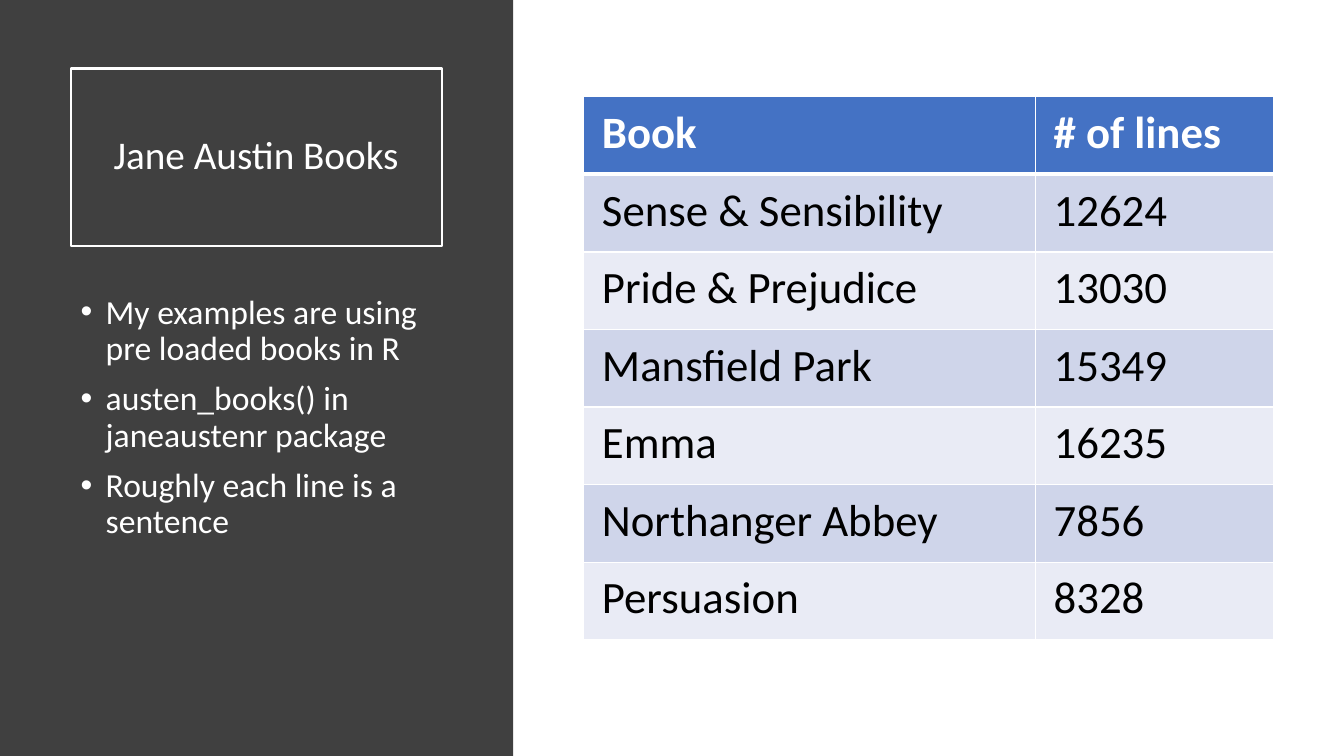
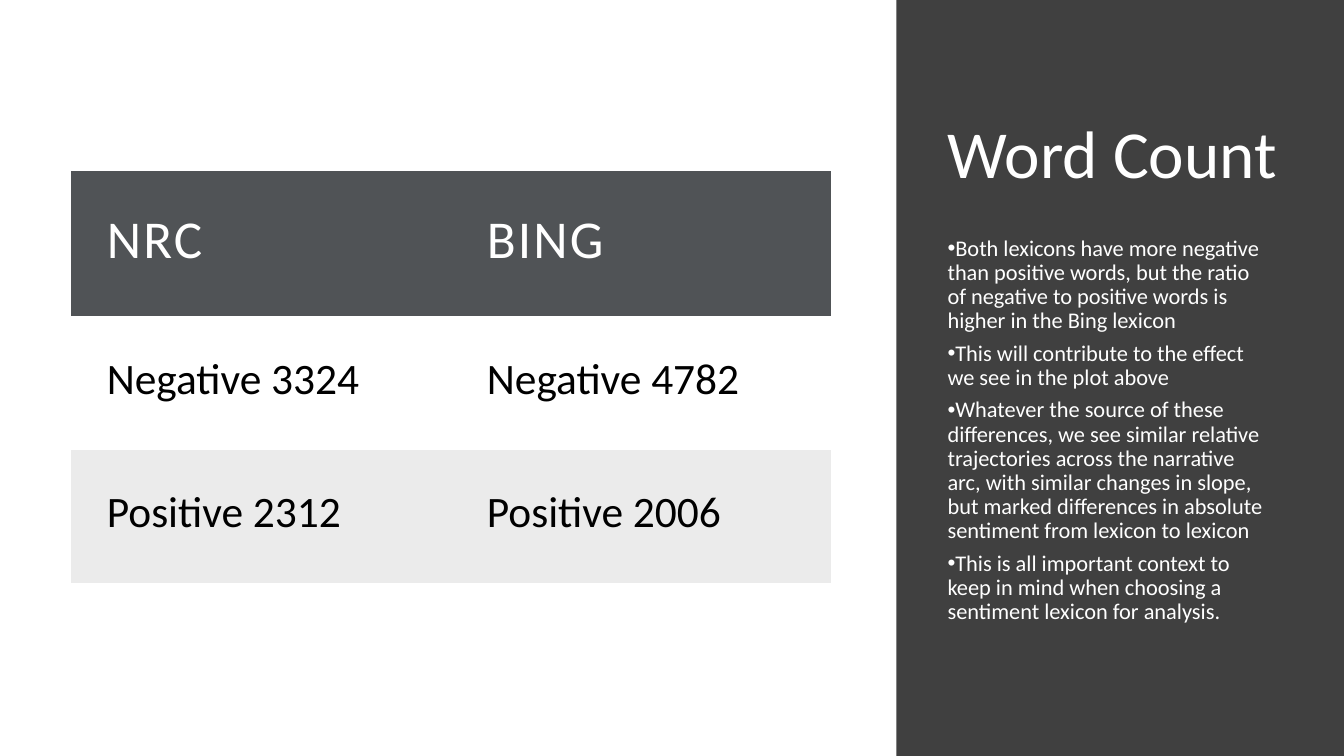
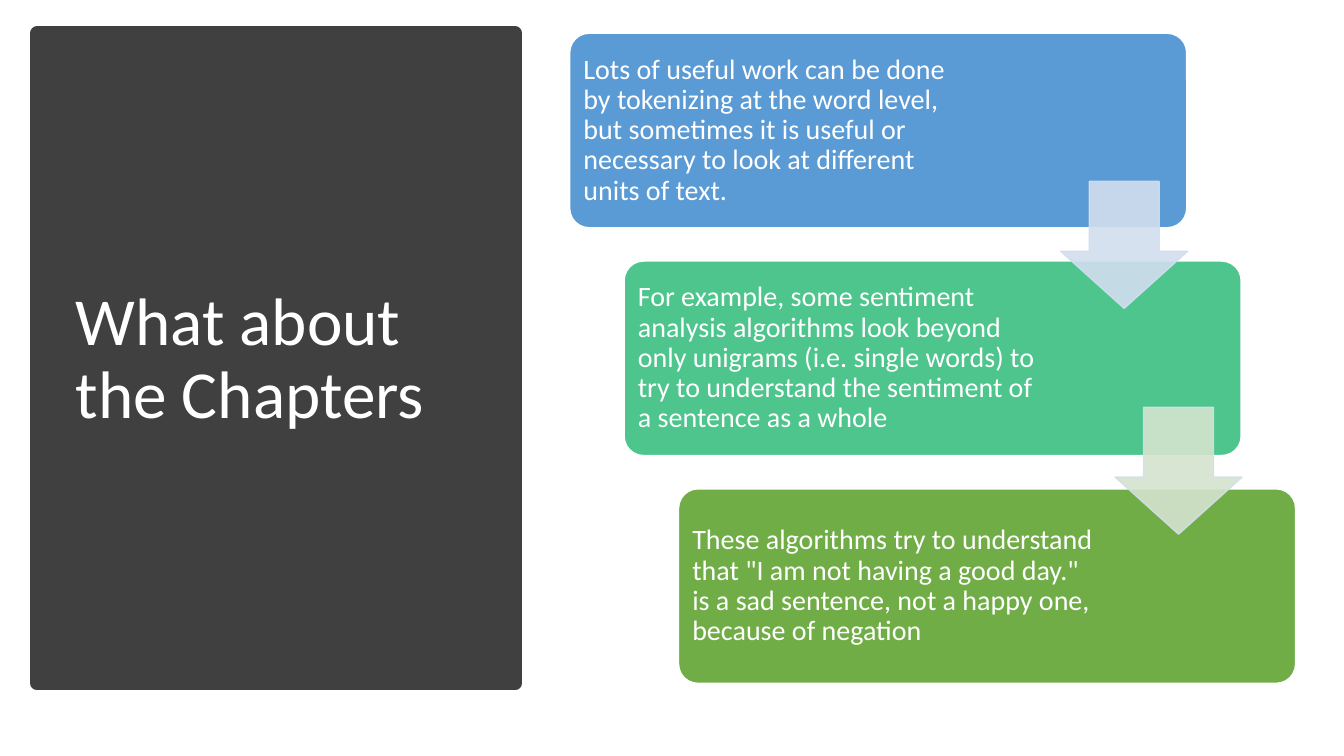
from lxml.etree import SubElement
from pptx import Presentation
from pptx.dml.color import RGBColor
from pptx.enum.shapes import MSO_SHAPE
from pptx.enum.text import MSO_ANCHOR, MSO_AUTO_SIZE, PP_ALIGN
from pptx.oxml import parse_xml
from pptx.oxml.ns import nsdecls, qn
from pptx.util import Inches, Pt

FONT = "Calibri"
WHITE, BLACK, DARK = "FFFFFF", "000000", "404040"
BLUE, BAND_DARK, BAND_LIGHT = "4472C4", "CFD5EA", "E9EBF5"
SLATE, PALE = "505356", "EBEBEB"
ARROW_LINE = "D2DEEF"
PLAIN_TABLE = "{2D5ABB26-0587-4C30-8999-92F81FD0307C}"

BOOKS = [
    ("Book", "# of lines"),
    ("Sense & Sensibility", "12624"),
    ("Pride & Prejudice", "13030"),
    ("Mansfield Park", "15349"),
    ("Emma", "16235"),
    ("Northanger Abbey", "7856"),
    ("Persuasion", "8328"),
]
BOOK_NOTES = [
    "My examples are using pre loaded books in R",
    "austen_books() in janeaustenr package",
    "Roughly each line is a sentence",
]
LEXICONS = [
    ("NRC", "BING"),
    ("Negative 3324", "Negative 4782"),
    ("Positive 2312", "Positive 2006"),
]
LEXICON_NOTES = [
    "Both lexicons have more negative than positive words, but the ratio of negative to positive words is higher in the Bing lexicon",
    "This will contribute to the effect we see in the plot above",
    "Whatever the source of these differences, we see similar relative trajectories across the narrative arc, with similar changes in slope, but marked differences in absolute sentiment from lexicon to lexicon",
    "This is all important context to keep in mind when choosing a sentiment lexicon for analysis.",
]
STEPS = [
    ("Lots of useful work can be done by tokenizing at the word level, but sometimes it is useful or necessary to look at different units of text.", "5B9BD5", 3.88),
    ("For example, some sentiment analysis algorithms look beyond only unigrams (i.e. single words) to try to understand the sentiment of a sentence as a whole", "4DC58D", 4.05),
    ("These algorithms try to understand that \"I am not having a good day.\" is a sad sentence, not a happy one, because of negation", "70AD47", 4.05),
]
ARROW_FILLS = ["D2DEEF", "D5E3CF"]


def rgb(value):
    return RGBColor.from_string(value)


def assign(target, values):
    for name, value in values.items():
        setattr(target, name, value)


def write(p, text, size, color=WHITE, **fmt):
    r = p.add_run()
    r.text = text
    assign(r.font, {"name": FONT, "size": Pt(size), **fmt})
    r.font.color.rgb = rgb(color)
    return r


def outline(shape, color, width):
    shape.line.color.rgb = rgb(color)
    shape.line.width = Pt(width)


def add_block(s, kind, box, fill, line=None, width=1):
    shape = s.shapes.add_shape(kind, *map(Inches, box))
    shape.shadow.inherit = False
    shape.fill.solid()
    shape.fill.fore_color.rgb = rgb(fill)
    if line:
        outline(shape, line, width)
    else:
        shape.line.fill.background()
    return shape


def fade(shape, percent):
    for color in shape.element.spPr.iter(qn("a:srgbClr")):
        SubElement(color, qn("a:alpha"), val=str(percent * 1000))


def add_titled_slide(prs, text, box, panel, size=48, align=PP_ALIGN.LEFT,
                     anchor=MSO_ANCHOR.MIDDLE, panel_line=None):
    s = prs.slides.add_slide(prs.slide_layouts[5])
    title = s.shapes.title
    assign(title, dict(zip(("left", "top", "width", "height"), map(Inches, box))))
    tf = title.text_frame
    assign(tf, {"word_wrap": True, "auto_size": MSO_AUTO_SIZE.NONE,
                "vertical_anchor": anchor})
    p = tf.paragraphs[0]
    assign(p, {"alignment": align, "line_spacing": 0.9})
    write(p, text, size)
    block = add_block(s, MSO_SHAPE.RECTANGLE, panel, DARK, panel_line, 10)
    title.element.addprevious(block.element)
    return s


def add_bullets(s, box, items, size, indent, before=0, after=0):
    tf = s.shapes.add_textbox(*map(Inches, box)).text_frame
    tf.word_wrap = True
    for i, item in enumerate(items):
        p = tf.add_paragraph() if i else tf.paragraphs[0]
        assign(p, {"line_spacing": 0.9, "space_before": Pt(before),
                   "space_after": Pt(after)})
        pPr = p._p.get_or_add_pPr()
        pPr.set("marL", str(Inches(indent)))
        pPr.set("indent", str(Inches(-0.25)))
        SubElement(pPr, qn("a:buFont"), typeface="Arial")
        SubElement(pPr, qn("a:buChar"), char="•")
        write(p, item, size)


def add_borders(cell, widths):
    tcPr = cell._tc.get_or_add_tcPr()
    for i, (side, width) in enumerate(widths.items()):
        tcPr.insert(i, parse_xml(
            f'<a:ln{side} {nsdecls("a")} w="{Pt(width)}"><a:solidFill>'
            f'<a:srgbClr val="{WHITE}"/></a:solidFill></a:ln{side}>'))


def add_grid(s, left, top, widths, heights, rows, fills, margins, head, body, ruled=False):
    table = s.shapes.add_table(
        len(rows), len(widths), Inches(left), Inches(top),
        Inches(sum(widths)), Inches(sum(heights))).table
    table._tbl.tblPr.find(qn("a:tableStyleId")).text = PLAIN_TABLE
    table.horz_banding = False
    for column, width in zip(table.columns, widths):
        column.width = Inches(width)
    for i, (values, height) in enumerate(zip(rows, heights)):
        table.rows[i].height = Inches(height)
        fill = fills[0] if i == 0 else fills[1 + (i - 1) % 2]
        for cell, value in zip(table.rows[i].cells, values):
            across, down = map(Inches, margins)
            assign(cell, {"margin_left": across, "margin_right": across,
                          "margin_top": down, "margin_bottom": down})
            if fill:
                cell.fill.solid()
                cell.fill.fore_color.rgb = rgb(fill)
            else:
                cell.fill.background()
            if ruled:
                add_borders(cell, {"L": 1, "R": 1, "T": 3 if i == 1 else 1,
                                   "B": 3 if i == 0 else 1})
            write(cell.text_frame.paragraphs[0], value, **(body if i else head))
    return table


def add_step(s, left, top, text, fill, text_width):
    width, inset = 6.12, 0.08
    card = add_block(s, MSO_SHAPE.ROUNDED_RECTANGLE, (left, top, width, 1.93), fill, WHITE)
    card.adjustments[0] = 0.1
    tf = card.text_frame
    assign(tf, {"word_wrap": True, "vertical_anchor": MSO_ANCHOR.MIDDLE,
                "margin_left": Inches(inset), "margin_top": Inches(inset),
                "margin_bottom": Inches(inset),
                "margin_right": Inches(width - text_width - inset - 0.12)})
    p = tf.paragraphs[0]
    assign(p, {"alignment": PP_ALIGN.LEFT, "line_spacing": 0.9})
    write(p, text, 20)


def add_step_arrow(s, left, top, fill):
    arrow = add_block(s, MSO_SHAPE.DOWN_ARROW, (left, top, 1.26, 1.26), fill, ARROW_LINE)
    arrow.adjustments[0], arrow.adjustments[1] = 0.55, 0.45
    fade(arrow, 90)


def build_books(prs):
    s = add_titled_slide(prs, "Jane Austin Books", (0.7, 0.68, 3.68, 1.76),
                         (0, 0, 5.09, 7.5), size=28, align=PP_ALIGN.CENTER)
    outline(s.shapes.title, WHITE, 1.5)
    add_bullets(s, (0.7, 2.88, 3.68, 3.74), BOOK_NOTES, 24, 0.25, before=10)
    add_grid(s, 5.79, 0.96, [4.48, 2.36], [0.77] * len(BOOKS), BOOKS,
             (BLUE, BAND_DARK, BAND_LIGHT), (0.18, 0.09),
             {"size": 32, "bold": True}, {"size": 32, "color": BLACK}, ruled=True)


def build_word_count(prs):
    s = add_titled_slide(prs, "Word Count", (9.3, 0.78, 3.85, 1.19),
                         (8.89, 0, 4.44, 7.5), anchor=MSO_ANCHOR.BOTTOM)
    add_bullets(s, (9.3, 2.3, 3.33, 4.22), LEXICON_NOTES, 16, 0, after=6)
    table = add_grid(s, 0.7, 1.7, [3.77] * 2, [1.44, 1.32, 1.32], LEXICONS,
                     (SLATE, None, PALE), (0.36, 0.36),
                     {"size": 38}, {"size": 31, "color": BLACK})
    for cell in table.rows[0].cells:
        r = cell.text_frame.paragraphs[0].runs[0]
        r._r.get_or_add_rPr().set("spc", "150")


def build_chapters(prs):
    s = add_titled_slide(prs, "What about the Chapters", (0.65, 0.7, 4.16, 5.75),
                         (0.37, 0.33, 4.74, 6.45), panel_line=DARK)
    for i, step in enumerate(STEPS):
        add_step(s, 5.65 + 0.54 * i, 0.33 + 2.26 * i, *step)
    for i, fill in enumerate(ARROW_FILLS):
        add_step_arrow(s, 10.52 + 0.54 * i, 1.8 + 2.24 * i, fill)


def main():
    prs = Presentation()
    prs.slide_width, prs.slide_height = Inches(13.33), Inches(7.5)
    build_books(prs)
    build_word_count(prs)
    build_chapters(prs)
    prs.save("out.pptx")


if __name__ == "__main__":
    main()
